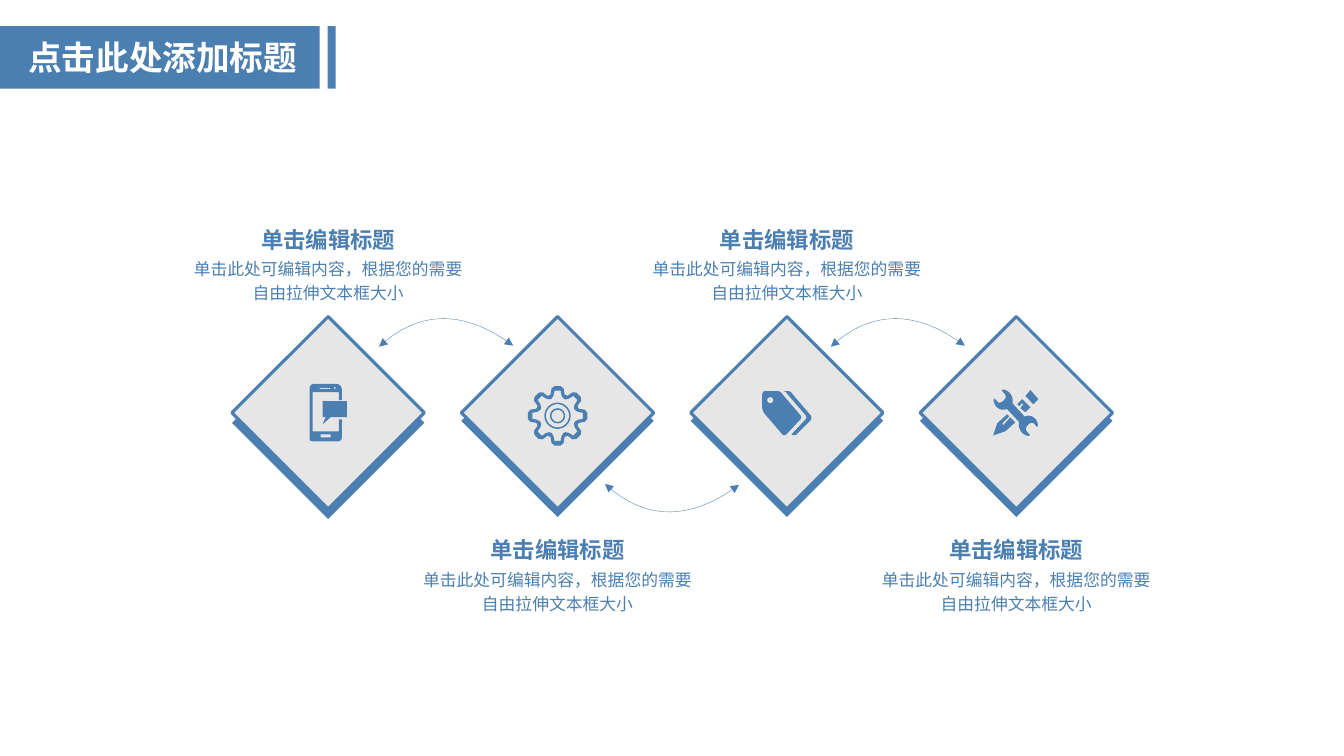
from dataclasses import dataclass
from math import cos, pi, sin

from lxml import etree
from pptx import Presentation
from pptx import util as u
from pptx.dml.color import RGBColor
from pptx.enum import shapes, text
from pptx.oxml.ns import qn

Point = tuple[float, float]
Contour = list[Point]


@dataclass(frozen=True)
class Theme:
    blue: RGBColor = RGBColor(0x4B, 0x7F, 0xB1)
    gray: RGBColor = RGBColor(0xE6, 0xE6, 0xE6)
    white: RGBColor = RGBColor(0xFF, 0xFF, 0xFF)
    font: str = "Arial"
    title: int = 24
    heading: int = 16
    body: int = 12
    border: float = 2.25
    arc: float = 0.25


@dataclass(frozen=True)
class Step:
    heading: str
    body: str
    text_top: float
    shadow_top: float
    icon: list[list[Contour]]


THEME = Theme()
HEADING = "单击编辑标题"
BODY = "单击此处可编辑内容，根据您的需要自由拉伸文本框大小"
ABOVE, BELOW = 2.19, 5.27
FIRST_LEFT, STEP_GAP, SIDE = 2.58, 2.275, 1.35
DIAMOND_TOP = 3.42
ARC_LEFT, ARC_GAP = 3.76, 2.24
ARC_MIRROR = 8.24


def trace(start: Point, *segments: tuple[float, ...], samples: int = 8) -> Contour:
    points = [start]
    for segment in segments:
        if len(segment) == 2:
            points.append(segment)
            continue
        x0, y0 = points[-1]
        x1, y1, x2, y2, x3, y3 = segment
        for index in range(1, samples + 1):
            t = index / samples
            a, b, c, d = (1 - t) ** 3, 3 * t * (1 - t) ** 2, 3 * t * t * (1 - t), t ** 3
            points.append((a * x0 + b * x1 + c * x2 + d * x3, a * y0 + b * y1 + c * y2 + d * y3))
    return points


def box(left: float, top: float, right: float, bottom: float) -> Contour:
    return [(left, top), (right, top), (right, bottom), (left, bottom)]


def spin(center: Point, profile: Contour, count: int) -> Contour:
    turns = [2 * pi * index / count for index in range(count)]
    return [(center[0] + x * cos(a) - y * sin(a), center[1] + x * sin(a) + y * cos(a))
            for a in turns for x, y in profile]


def mirrored(profile: Contour) -> Contour:
    return profile + [(-x, y) for x, y in reversed(profile)]


GEAR_CENTER = (5.53, 4.125)
PHONE = [
    [trace((3.36, 4.28), (3.1, 4.28), (3.1, 3.89), (3.36, 3.89), (3.36, 3.97), (3.39, 3.97),
           (3.39, 3.86), (3.39, 3.84, 3.37, 3.81, 3.34, 3.81), (3.11, 3.81),
           (3.08, 3.81, 3.07, 3.84, 3.07, 3.86), (3.07, 4.34),
           (3.07, 4.37, 3.08, 4.38, 3.11, 4.38), (3.34, 4.38),
           (3.37, 4.38, 3.39, 4.37, 3.39, 4.34), (3.39, 4.16), (3.36, 4.16)),
     spin((3.32, 3.85), [(0.01, 0)], 12),
     box(3.17, 3.85, 3.28, 3.86),
     box(3.18, 4.31, 3.28, 4.34)],
    [[(3.2, 4.14), (3.23, 4.14), (3.2, 4.21), (3.28, 4.14), (3.44, 4.14), (3.44, 3.98), (3.2, 3.98)]],
]
GEAR = [
    [spin(GEAR_CENTER, mirrored([(-0.09, -0.2), (-0.07, -0.21), (-0.06, -0.27), (-0.03, -0.295)]), 8),
     spin(GEAR_CENTER, mirrored([(-0.06, -0.17), (-0.04, -0.2), (-0.03, -0.25)]), 8)],
    [spin(GEAR_CENTER, [(radius, 0)], 48) for radius in (0.13, 0.115)],
    [spin(GEAR_CENTER, [(radius, 0)], 48) for radius in (0.075, 0.06)],
]
TAG = [
    [trace((7.94, 4.12), (7.95, 4.13, 7.95, 4.15, 7.94, 4.16), (7.8, 4.31),
           (7.79, 4.32, 7.77, 4.32, 7.76, 4.31), (7.58, 4.1), (7.57, 4.08, 7.56, 4.06, 7.56, 4.04),
           (7.56, 3.92), (7.56, 3.9, 7.57, 3.88, 7.59, 3.88), (7.71, 3.88),
           (7.73, 3.88, 7.75, 3.89, 7.76, 3.91)),
     spin((7.64, 3.97), [(0.03, 0)], 24)],
    [trace((8.04, 4.12), (8.05, 4.13, 8.05, 4.15, 8.04, 4.17), (7.9, 4.31),
           (7.89, 4.32, 7.87, 4.32, 7.85, 4.31), (7.99, 4.16), (8, 4.15, 8, 4.13, 7.99, 4.12),
           (7.81, 3.91), (7.8, 3.89, 7.78, 3.88, 7.77, 3.88), (7.81, 3.88),
           (7.83, 3.88, 7.85, 3.89, 7.86, 3.91))],
]
WRENCH_HALF = trace((0.13, 0.03), (0.11, 0.03, 0.1, 0.03, 0.09, 0.04), (-0.03, -0.09),
                    (-0.03, -0.1, -0.03, -0.11, -0.03, -0.12), (-0.03, -0.18, -0.08, -0.23, -0.13, -0.23),
                    (-0.14, -0.22), (-0.1, -0.18, -0.1, -0.17, -0.1, -0.16),
                    (-0.1, -0.14, -0.13, -0.1, -0.16, -0.1), (-0.18, -0.1, -0.18, -0.11, -0.21, -0.14),
                    (-0.22, -0.13), (-0.22, -0.08, -0.18, -0.03, -0.13, -0.03))
TOOLS = [
    [[(10.02, 4.14), (9.95, 4.22), (9.94, 4.2), (10.01, 4.13), (9.99, 4.11), (9.89, 4.2),
      (9.85, 4.32), (9.97, 4.28), (10.07, 4.19)]],
    [[(10.11, 4.03), (10.14, 4), (10.15, 4.01), (10.12, 4.05), (10.17, 4.09), (10.22, 4.04),
      (10.14, 3.96), (10.09, 4.01)]],
    [[(10.17, 3.93), (10.22, 3.87), (10.3, 3.96), (10.25, 4.01)]],
    [spin((10.075, 4.095), WRENCH_HALF, 2)],
]
STEPS = [
    Step(HEADING, BODY, ABOVE, 3.52, PHONE),
    Step(HEADING, BODY, BELOW, 3.5, GEAR),
    Step(HEADING, BODY, ABOVE, 3.5, TAG),
    Step(HEADING, BODY, BELOW, 3.5, TOOLS),
]


def add_rectangle(slide, left: float, top: float, width: float, height: float,
                  color: RGBColor, rotation: float = 0, border: float = 0) -> None:
    shape = slide.shapes.add_shape(shapes.MSO_SHAPE.RECTANGLE, u.Inches(left), u.Inches(top),
                                   u.Inches(width), u.Inches(height))
    shape.shadow.inherit = False
    shape.rotation = rotation
    shape.fill.solid()
    shape.fill.fore_color.rgb = color
    if border:
        shape.line.color.rgb = THEME.blue
        shape.line.width = u.Pt(border)
    else:
        shape.line.fill.background()


def add_outline(slide, contours: list[Contour], closed: bool = True):
    scaled = [[(u.Inches(x), u.Inches(y)) for x, y in contour] for contour in contours]
    builder = slide.shapes.build_freeform(*scaled[0][0])
    for index, contour in enumerate(scaled):
        if index:
            builder.move_to(*contour[0])
        builder.add_line_segments(contour[1:], close=closed)
    shape = builder.convert_to_shape()
    shape.shadow.inherit = False
    return shape


def add_icon(slide, icon: list[list[Contour]]) -> None:
    for contours in icon:
        shape = add_outline(slide, contours)
        shape.fill.solid()
        shape.fill.fore_color.rgb = THEME.blue
        shape.line.fill.background()


def add_arc(slide, left: float, below: bool) -> None:
    curve = trace((left, 3.44), (left + 0.4, 3.07, left + 0.85, 3.07, left + 1.33, 3.43), samples=32)
    if below:
        curve = [(x, ARC_MIRROR - y) for x, y in curve]
    shape = add_outline(slide, [curve], closed=False)
    shape.fill.background()
    shape.line.color.rgb = THEME.blue
    shape.line.width = u.Pt(THEME.arc)
    line = shape._element.spPr.find(qn("a:ln"))
    for end in ("a:headEnd", "a:tailEnd"):
        etree.SubElement(line, qn(end), type="triangle")


def add_run(paragraph, content: str, size: int, color: RGBColor, bold: bool) -> None:
    run = paragraph.add_run()
    run.text = content
    run.font.name = THEME.font
    run.font.size = u.Pt(size)
    run.font.bold = bold
    run.font.color.rgb = color


def add_label(slide, center: float, top: float, width: float, height: float,
              content: str, size: int, bold: bool) -> None:
    label = slide.shapes.add_textbox(u.Inches(center - width / 2), u.Inches(top),
                                     u.Inches(width), u.Inches(height))
    frame = label.text_frame
    frame.word_wrap = True
    frame.auto_size = text.MSO_AUTO_SIZE.SHAPE_TO_FIT_TEXT
    frame.margin_left = frame.margin_right = frame.margin_top = frame.margin_bottom = 0
    paragraph = frame.paragraphs[0]
    paragraph.alignment = text.PP_ALIGN.CENTER
    paragraph.line_spacing = 1.2
    add_run(paragraph, content, size, THEME.blue, bold)


def add_title(slide, content: str) -> None:
    add_rectangle(slide, 3.25, 0.26, 0.08, 0.62, THEME.blue)
    add_rectangle(slide, 0, 0.26, 3.17, 0.62, THEME.blue)
    title = slide.shapes.title
    title.left, title.top, title.width, title.height = map(u.Inches, (0.18, 0.32, 3.15, 0.5))
    title.text_frame.vertical_anchor = text.MSO_ANCHOR.TOP
    title.text_frame.auto_size = text.MSO_AUTO_SIZE.NONE
    paragraph = title.text_frame.paragraphs[0]
    paragraph.alignment = text.PP_ALIGN.LEFT
    add_run(paragraph, content, THEME.title, THEME.white, True)
    title._element.getparent().append(title._element)


def add_step(slide, step: Step, left: float) -> None:
    center = left + SIDE / 2
    add_rectangle(slide, left, step.shadow_top, SIDE, SIDE, THEME.blue, 315)
    add_rectangle(slide, left, DIAMOND_TOP, SIDE, SIDE, THEME.gray, 315, THEME.border)
    add_icon(slide, step.icon)
    add_label(slide, center, step.text_top, 1.69, 0.3, step.heading, THEME.heading, True)
    add_label(slide, center, step.text_top + 0.34, 2.7, 0.46, step.body, THEME.body, False)


def main() -> None:
    presentation = Presentation()
    presentation.slide_width, presentation.slide_height = u.Inches(13.33), u.Inches(7.5)
    slide = presentation.slides.add_slide(presentation.slide_layouts[5])
    add_title(slide, "点击此处添加标题")
    for index in range(len(STEPS) - 1):
        add_arc(slide, ARC_LEFT + index * ARC_GAP, index % 2 == 1)
    for index, step in enumerate(STEPS):
        add_step(slide, step, FIRST_LEFT + index * STEP_GAP)
    presentation.save("out.pptx")


if __name__ == "__main__":
    main()
